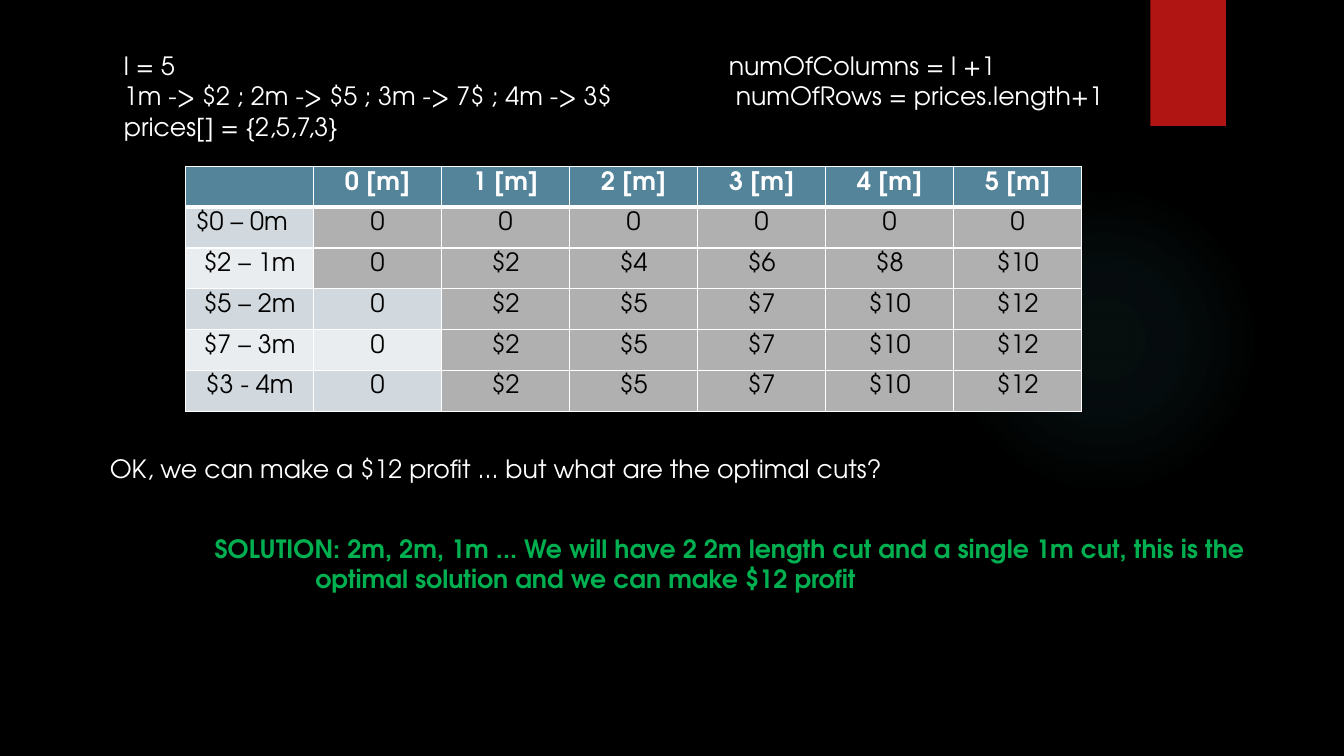
from pptx import Presentation
from pptx.dml.color import RGBColor
from pptx.enum.shapes import MSO_SHAPE as Shape
from pptx.enum.text import PP_ALIGN as Align
from pptx.oxml import parse_xml
from pptx.oxml.ns import nsdecls
from pptx.util import Inches, Pt

FONT = "TeX Gyre Adventor"
COLORS = {
    "background": "000000", "glow": "50B9C1", "ribbon": "B01513",
    "light": "FFFFFF", "dark": "000000", "solution": "00B050",
    "header": "54849A", "odd": "D1D9DE", "even": "E9EDEF", "filled": "B0B0B0",
}
PROFITS = [
    ["", "0 [m]", "1 [m]", "2 [m]", "3 [m]", "4 [m]", "5 [m]"],
    ["$0 – 0m", "0", "0", "0", "0", "0", "0"],
    ["$2 – 1m", "0", "$2", "$4", "$6", "$8", "$10"],
    ["$5 – 2m", "0", "$2", "$5", "$7", "$10", "$12"],
    ["$7 – 3m", "0", "$2", "$5", "$7", "$10", "$12"],
    ["$3 - 4m", "0", "$2", "$5", "$7", "$10", "$12"],
]
GIVEN = [
    "l = 5\tnumOfColumns = l +1",
    "1m -> $2 ; 2m -> $5 ; 3m -> 7$ ; 4m -> 3$\t numOfRows = prices.length+1",
    "prices[] = {2,5,7,3}",
]
QUESTION = ["OK, we can make a $12 profit ... but what are the optimal cuts?"]
SOLUTION = [
    "SOLUTION: 2m, 2m, 1m ... We will have 2 2m length cut and a single 1m cut, this is the",
    "\toptimal solution and we can make $12 profit",
]


def rgb(name):
    """Return the named colour."""
    return RGBColor.from_string(COLORS[name])


def style_text(para, color, bold=False):
    """Format every run of a paragraph."""
    for span in para.runs:
        span.font.name = FONT
        span.font.size = Pt(18)
        span.font.bold = bold
        span.font.color.rgb = rgb(color)


def add_shape(page, kind, left, top, width, height, color):
    """Add a plain filled shape without outline or shadow."""
    shape = page.shapes.add_shape(
        kind, Inches(left), Inches(top), Inches(width), Inches(height))
    shape.shadow.inherit = False
    shape.line.fill.background()
    shape.fill.solid()
    shape.fill.fore_color.rgb = rgb(color)
    return shape


def add_glow(page):
    """Add the faint round glow that fades to its edge."""
    glow = add_shape(page, Shape.OVAL, 9.41, 1.83, 3.08, 3.08, "glow")
    stops = "".join(
        f'<a:gs pos="{place * 1000}"><a:srgbClr val="{COLORS["glow"]}">'
        f'<a:alpha val="{alpha * 1000}"/></a:srgbClr></a:gs>'
        for place, alpha in [(0, 7), (36, 6), (69, 0)])
    gradient = parse_xml(
        f'<a:gradFill {nsdecls("a")}><a:gsLst>{stops}</a:gsLst><a:path path="circle">'
        '<a:fillToRect l="50000" t="50000" r="50000" b="50000"/></a:path></a:gradFill>')
    properties = glow.element.spPr
    properties.replace(properties.find("{*}solidFill"), gradient)


def add_text(page, left, top, width, height, lines, color, bold=False, tab=None):
    """Add a text box with one paragraph a line and an optional tab stop."""
    box = page.shapes.add_textbox(
        Inches(left), Inches(top), Inches(width), Inches(height))
    box.text_frame.word_wrap = True
    box.text_frame.text = "\n".join(lines)
    for para in box.text_frame.paragraphs:
        if tab:
            para._p.get_or_add_pPr().append(parse_xml(
                f'<a:tabLst {nsdecls("a")}><a:tab pos="{Inches(tab)}" algn="l"/></a:tabLst>'))
        style_text(para, color, bold)


def add_borders(cell, row):
    """Draw white cell borders, thicker under the header."""
    widths = {"L": 1, "R": 1, "T": 3 if row == 1 else 1, "B": 3 if row == 0 else 1}
    for side, width in widths.items():
        cell._tc.get_or_add_tcPr().append(parse_xml(
            f'<a:ln{side} {nsdecls("a")} w="{Pt(width)}"><a:solidFill>'
            f'<a:srgbClr val="{COLORS["light"]}"/></a:solidFill></a:ln{side}>'))


def cell_color(row, column):
    """Choose the fill name of a table cell."""
    if row == 0:
        return "header"
    if column == 0 or (column == 1 and row >= 3):
        return "odd" if row % 2 else "even"
    return "filled"


def add_profit_table(page):
    """Add the table of best profits by length and available cuts."""
    table = page.shapes.add_table(
        len(PROFITS), len(PROFITS[0]),
        Inches(1.84), Inches(1.65), Inches(8.89), Inches(2.43)).table
    for row, values in enumerate(PROFITS):
        for column, value in enumerate(values):
            cell = table.cell(row, column)
            add_borders(cell, row)
            cell.fill.solid()
            cell.fill.fore_color.rgb = rgb(cell_color(row, column))
            cell.text_frame.text = value
            para = cell.text_frame.paragraphs[0]
            para.alignment = Align.LEFT if (row, column) == (1, 0) else Align.CENTER
            style_text(para, "dark" if row else "light", bold=row == 0)


def main():
    """Build the slide and save the deck."""
    deck = Presentation()
    deck.slide_width, deck.slide_height = Inches(13.33), Inches(7.5)
    page = deck.slides.add_slide(deck.slide_layouts[6])
    page.background.fill.solid()
    page.background.fill.fore_color.rgb = rgb("background")
    add_glow(page)
    add_shape(page, Shape.RECTANGLE, 11.41, 0, 0.75, 1.25, "ribbon")
    add_text(page, 1.13, 0.45, 10.31, 1.31, GIVEN, "light", tab=6)
    add_profit_table(page)
    add_text(page, 0.99, 4.45, 7.98, 0.4, QUESTION, "light")
    add_text(page, 2.03, 5.24, 10.54, 0.71, SOLUTION, "solution", bold=True, tab=1)
    deck.save("out.pptx")


if __name__ == "__main__":
    main()
